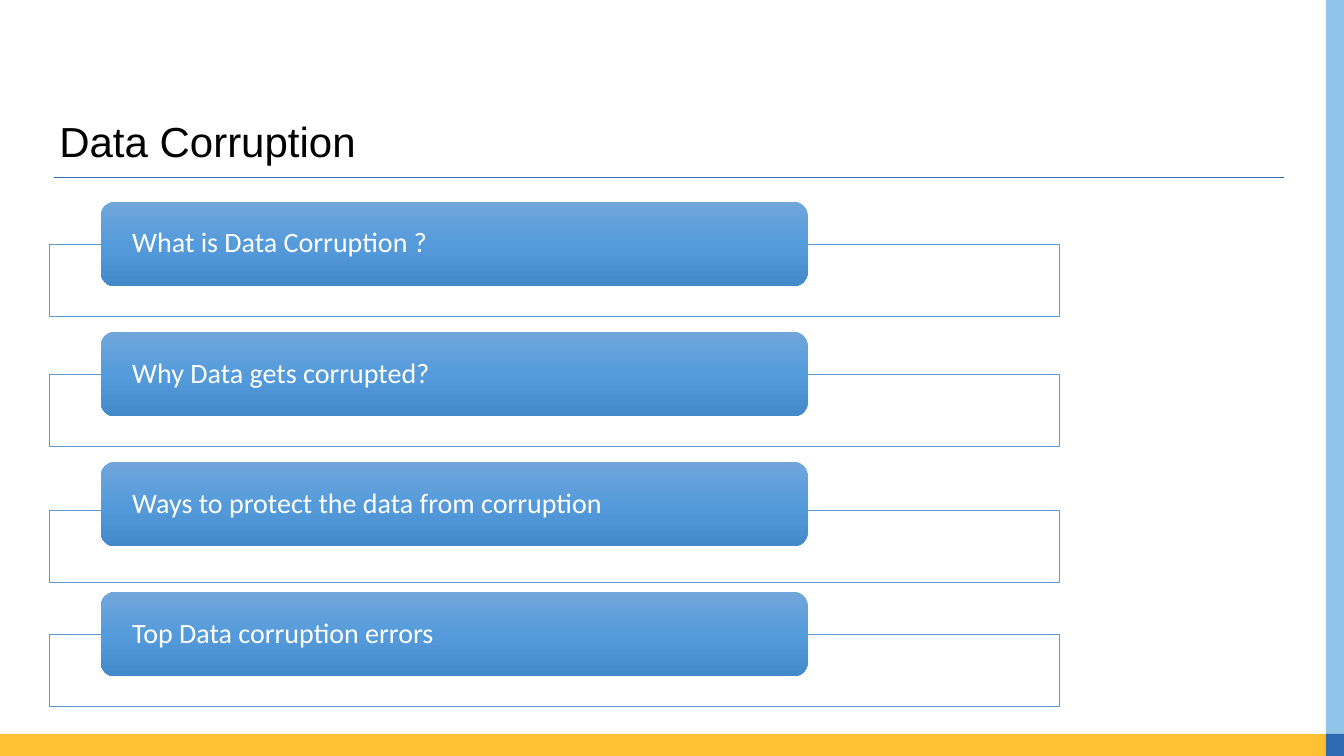
from lxml.etree import SubElement
from pptx import Presentation
from pptx.dml.color import RGBColor
from pptx.enum.shapes import MSO_CONNECTOR as CONN, MSO_SHAPE as SHAPE
from pptx.enum.text import MSO_ANCHOR as ANCHOR, PP_ALIGN as ALIGN
from pptx.oxml.ns import qn
from pptx.util import Inches, Pt

COLORS = {
    "gold": "FFC031",
    "sky": "90C4E9",
    "navy": "2F69B0",
    "outline": "5B9BD5",
    "white": "FFFFFF",
    "black": "000000",
    "button_top": "71A6DB",
    "button_mid": "559BDB",
    "button_low": "448ACA",
}
TOPICS = [
    ("What is Data Corruption ?", 0.42),
    ("Why Data gets corrupted?", 0.42),
    ("Ways to protect the data from corruption", 0.48),
    ("Top Data corruption errors", 0.42),
]
FIRST_TOP, PITCH = 2, 1.29


def rgb(name):
    return RGBColor.from_string(COLORS[name])


def write(sp, text, font="Calibri", size=20, color="white", inset=(0.1, 0.05)):
    tf = sp.text_frame
    tf.word_wrap = True
    tf.vertical_anchor = ANCHOR.MIDDLE
    tf.margin_left = tf.margin_right = Inches(inset[0])
    tf.margin_top = tf.margin_bottom = Inches(inset[1])
    p = tf.paragraphs[0]
    p.alignment = ALIGN.LEFT
    p.line_spacing = 0.9
    r = p.add_run()
    r.text = text
    r.font.name = font
    r.font.size = Pt(size)
    r.font.color.rgb = rgb(color)


class Deck:
    def __init__(self):
        self.prs = Presentation()
        self.prs.slide_width = Inches(13.33)
        self.prs.slide_height = Inches(7.5)
        self.s = self.prs.slides.add_slide(self.prs.slide_layouts[6])

    def box(self, x, y, w, h, fill, kind=SHAPE.RECTANGLE):
        sp = self.s.shapes.add_shape(kind, Inches(x), Inches(y), Inches(w), Inches(h))
        sp.shadow.inherit = False
        sp.fill.solid()
        sp.fill.fore_color.rgb = rgb(fill)
        sp.line.fill.background()
        return sp

    def panel(self, x, y, w, h):
        sp = self.box(x, y, w, h, "white")
        clr = sp._element.spPr.find(qn("a:solidFill"))[0]
        SubElement(clr, qn("a:alpha"), val="90000")
        sp.line.color.rgb = rgb("outline")
        sp.line.width = Pt(0.5)

    def button(self, x, y, w, h, text):
        sp = self.box(x, y, w, h, "button_mid", SHAPE.ROUNDED_RECTANGLE)
        sp.fill.gradient()
        grad = sp._element.spPr.find(qn("a:gradFill"))
        stops = grad.find(qn("a:gsLst"))
        for gs in list(stops):
            stops.remove(gs)
        for pos, name in ((0, "button_top"), (50, "button_mid"), (100, "button_low")):
            gs = SubElement(stops, qn("a:gs"), pos=str(pos * 1000))
            SubElement(gs, qn("a:srgbClr"), val=COLORS[name])
        grad.find(qn("a:lin")).set("ang", "5400000")
        write(sp, text, inset=(0.27, 0))

    def rule(self, x1, x2, y):
        ln = self.s.shapes.add_connector(
            CONN.STRAIGHT, Inches(x1), Inches(y), Inches(x2), Inches(y))
        ln.line.color.rgb = rgb("navy")
        ln.line.width = Pt(0.82)
        SubElement(ln._element.spPr, qn("a:effectLst"))

    def title(self, x, y, w, h, text):
        sp = self.s.shapes.add_textbox(Inches(x), Inches(y), Inches(w), Inches(h))
        write(sp, text, font="Arial", size=30, color="black")


def main():
    deck = Deck()
    deck.box(0, 7.28, 13.25, 0.22, "gold")
    deck.box(13.15, 0, 0.22, 7.43, "sky")
    deck.box(13.15, 7.28, 0.22, 0.22, "navy")
    deck.rule(0.54, 12.73, 1.76)
    for i, (text, drop) in enumerate(TOPICS):
        top = FIRST_TOP + i * PITCH
        deck.panel(0.49, top + drop, 10.02, 0.72)
        deck.button(1, top, 7.01, 0.84, text)
    deck.title(0.49, 1.18, 12.2, 0.5, "Data Corruption")
    deck.prs.save("out.pptx")


if __name__ == "__main__":
    main()
